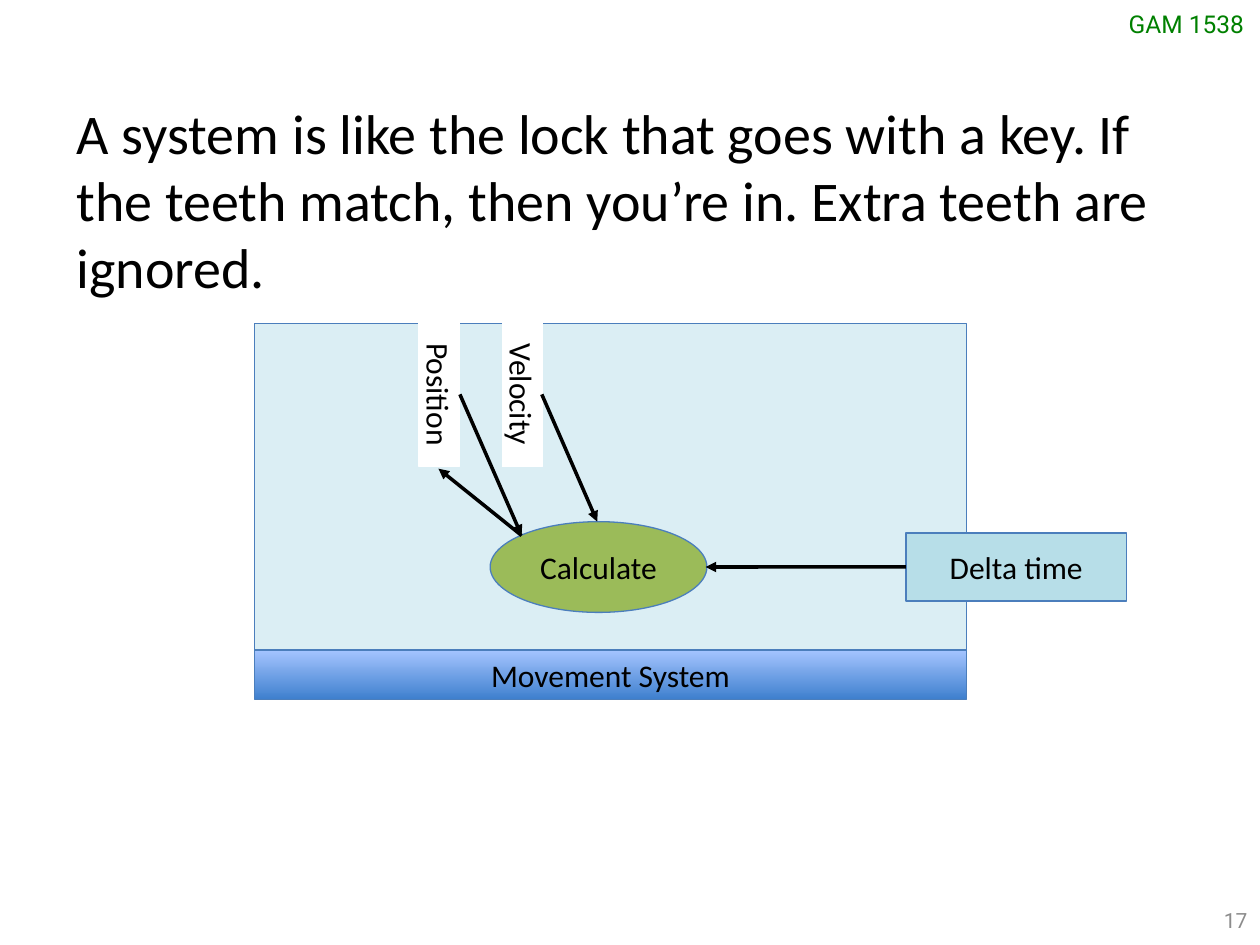
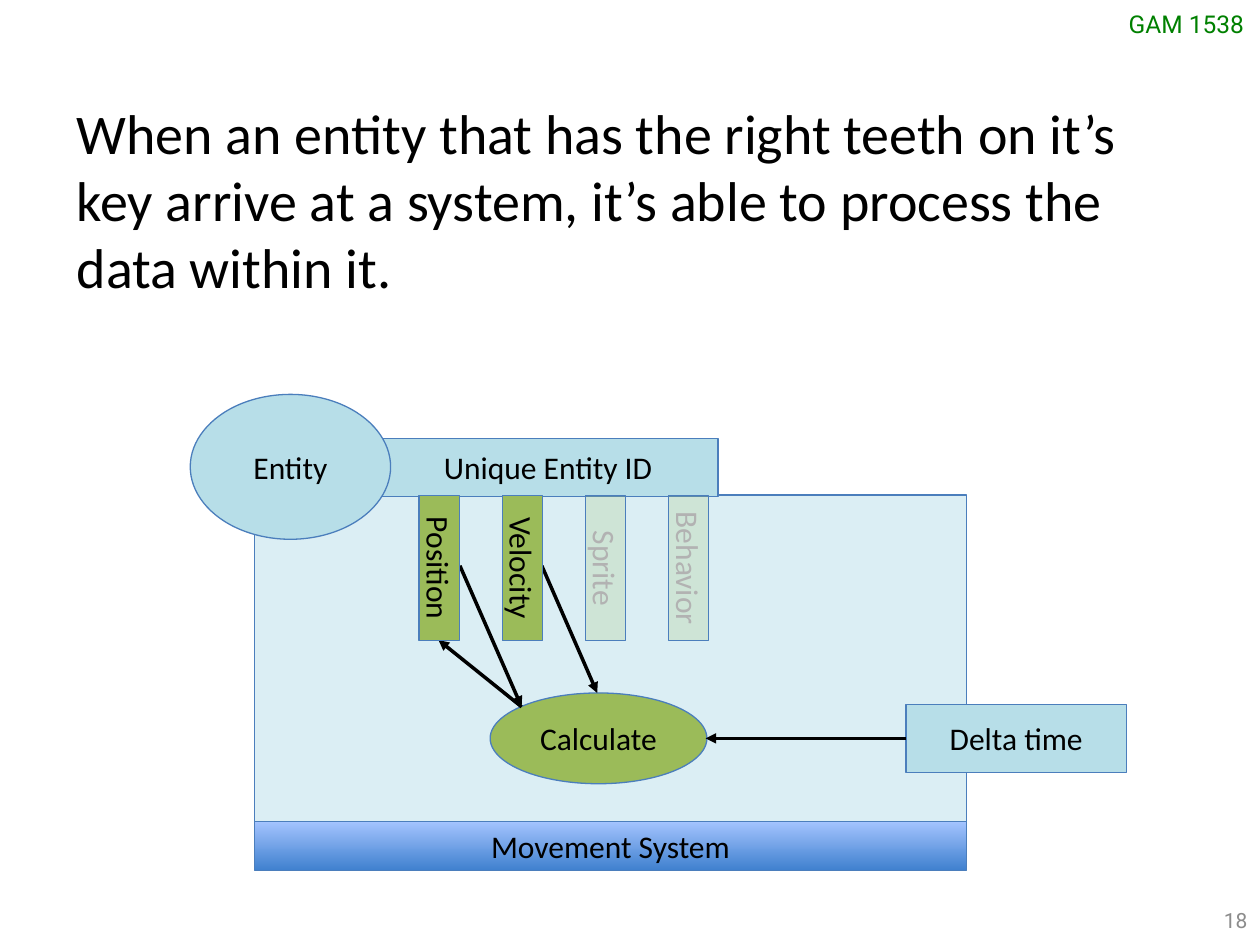
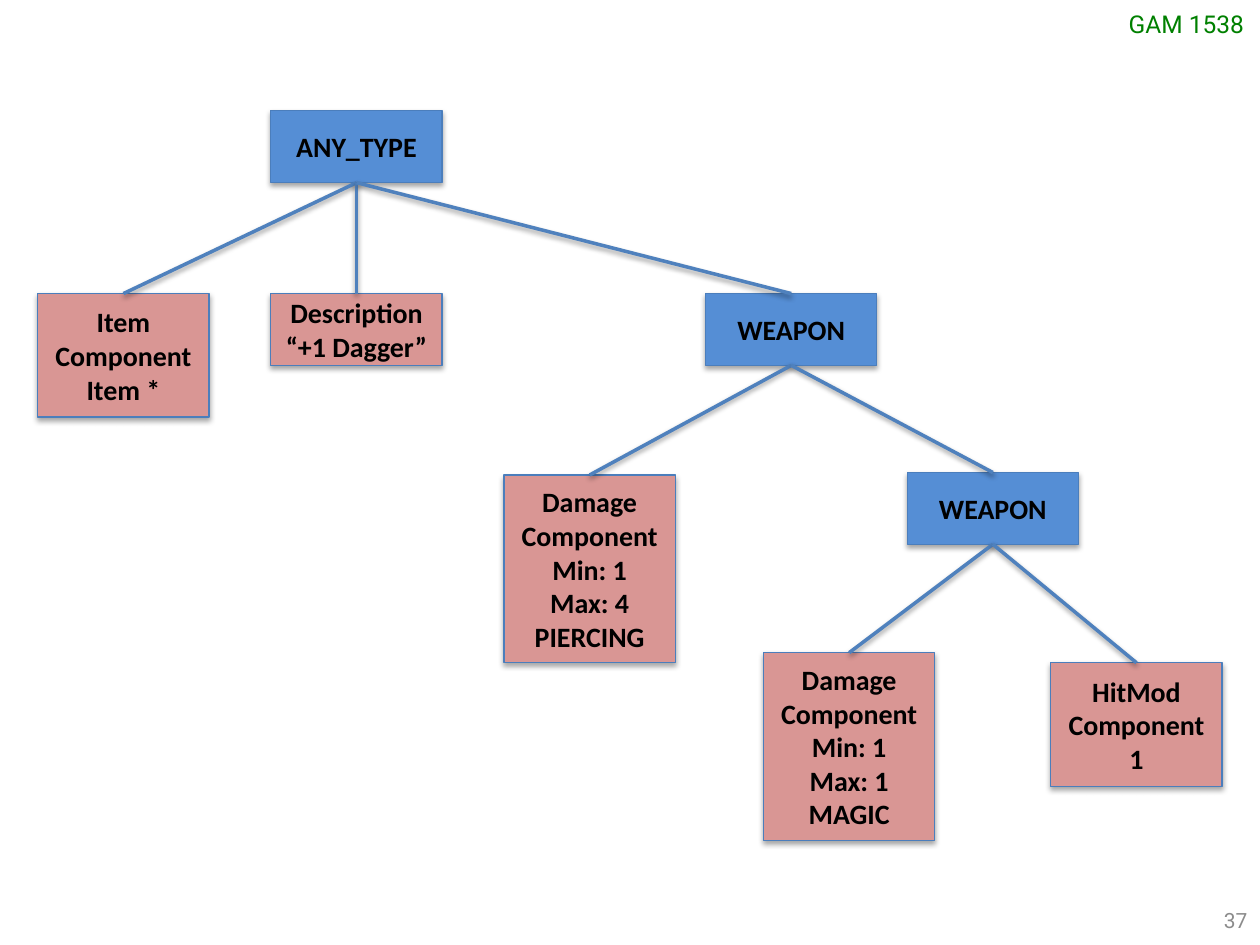
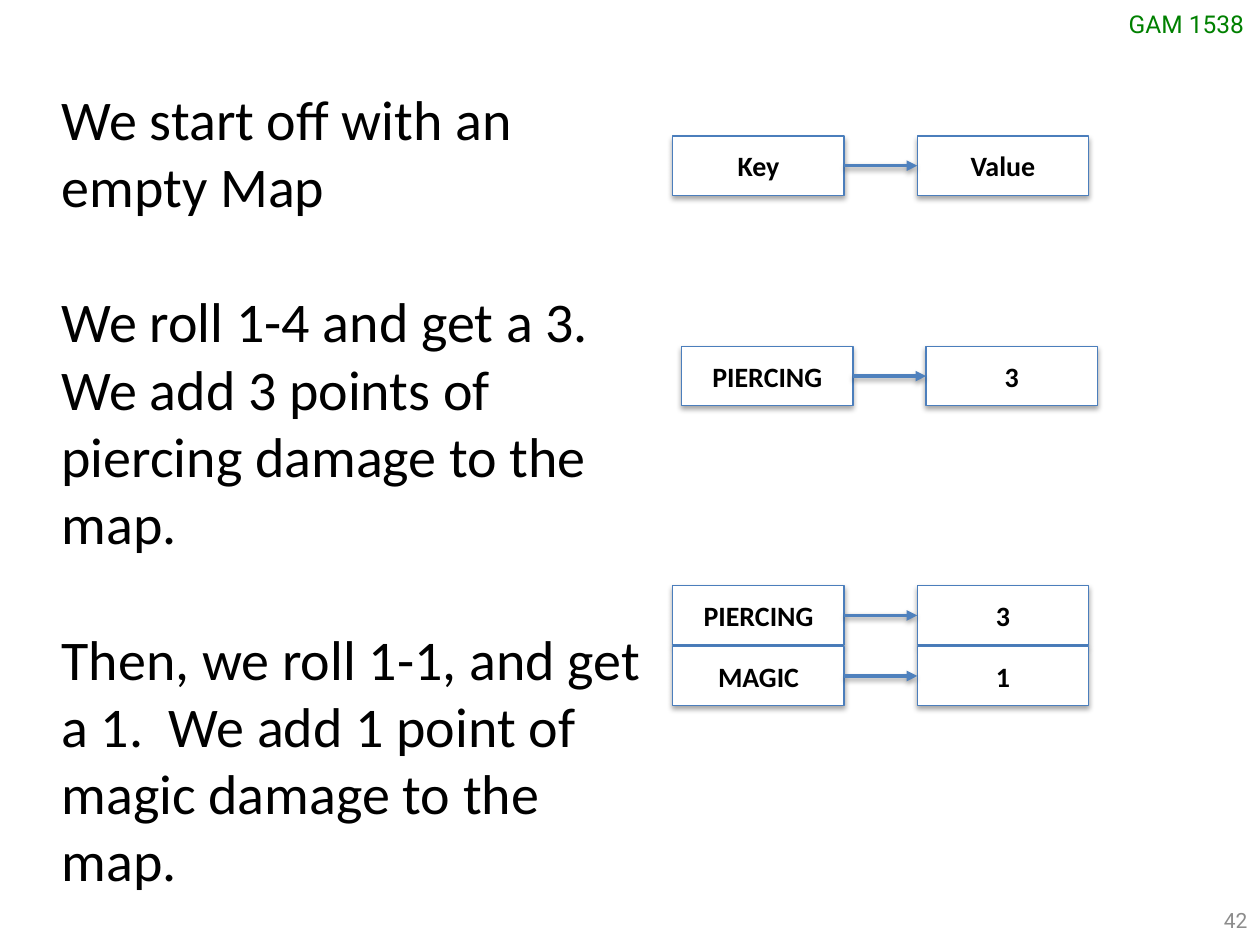
import pptx
import pptx.util
import pptx.dml.color
import pptx.enum.shapes
import pptx.enum.text
import pptx.oxml.ns
from lxml import etree

Inches = pptx.util.Inches
Pt = pptx.util.Pt
qn = pptx.oxml.ns.qn
SHAPE = pptx.enum.shapes.MSO_SHAPE
ANCHOR = pptx.enum.text.MSO_ANCHOR
ALIGN = pptx.enum.text.PP_ALIGN

BLACK, WHITE, FADED = "000000", "FFFFFF", "B2B2B2"
EDGE, LINK = "4B7EBC", "4F81BD"
PANEL, AQUA, GREEN = "DBEEF4", "B7DEE8", "9BBB59"
BLUE, PINK = "558ED5", "D99694"
TEETH_LEFT, TEETH_GAP = 2.91, 0.66


def rgb(color):
    return pptx.dml.color.RGBColor.from_string(color)


class Deck:
    """Hold the shared style and the slide being built."""

    def __init__(self):
        self.prs = pptx.Presentation()
        self.prs.slide_width, self.prs.slide_height = Inches(10), Inches(7.5)

    def new_slide(self, number):
        self.s = self.prs.slides.add_slide(self.prs.slide_layouts[6])
        self.text(8.86, 0.02, 1.14, 0.34, "GAM 1538", 14, "008000", "Roboto", wrap=False)
        sp = self.text(7.67, 7.1, 2.33, 0.4, str(number), 12, "8C8C8C", "Roboto", ALIGN.RIGHT)
        sp.text_frame.vertical_anchor = ANCHOR.MIDDLE

    def fill_text(self, tf, text, size, color=BLACK, font="Calibri", align=ALIGN.LEFT, bold=False):
        tf.text = text
        for p in tf.paragraphs:
            p.alignment = align
            p.font.size, p.font.name, p.font.bold = Pt(size), font, bold
            p.font.color.rgb = rgb(color)

    def text(self, x, y, w, h, text, size=32, color=BLACK, font="Calibri",
             align=ALIGN.LEFT, wrap=True):
        sp = self.s.shapes.add_textbox(Inches(x), Inches(y), Inches(w), Inches(h))
        sp.text_frame.word_wrap = wrap
        self.fill_text(sp.text_frame, text, size, color, font, align)
        return sp

    def effects(self, spPr, shadow, alpha, distance):
        effects = spPr.find(qn("a:effectLst"))
        if effects is None:
            effects = etree.SubElement(spPr, qn("a:effectLst"))
        if shadow:
            outer = etree.SubElement(effects, qn("a:outerShdw"), blurRad=str(Pt(3.1)),
                                     dist=str(Pt(distance)), dir="5400000", rotWithShape="0")
            tint = etree.SubElement(outer, qn("a:srgbClr"), val=BLACK)
            etree.SubElement(tint, qn("a:alpha"), val=str(alpha * 1000))

    def shape(self, x, y, w, h, text="", fill=AQUA, edge=EDGE, kind=SHAPE.RECTANGLE,
              size=18, color=BLACK, bold=False, shadow=False):
        sp = self.s.shapes.add_shape(kind, Inches(x), Inches(y), Inches(w), Inches(h))
        sp.fill.solid()
        sp.fill.fore_color.rgb = rgb(fill)
        sp.line.color.rgb = rgb(edge)
        sp.line.width = Pt(0.75)
        sp.shadow.inherit = False
        self.effects(sp._element.spPr, shadow, 35, 1.8)
        sp.text_frame.word_wrap = True
        sp.text_frame.vertical_anchor = ANCHOR.MIDDLE
        self.fill_text(sp.text_frame, text, size, color, align=ALIGN.CENTER, bold=bold)
        return sp

    def node(self, x, y, h, text, fill):
        return self.shape(x, y, 1.36, h, text, fill, size=16, bold=True, shadow=True)

    def tooth(self, index, y, text, fill=GREEN, edge=EDGE, color=BLACK, alpha=None):
        sp = self.shape(TEETH_LEFT + index * TEETH_GAP, y, 1.15, 0.32, text, fill, edge, color=color)
        sp.rotation = 90
        if alpha:
            tint = sp._element.spPr.find(qn("a:solidFill")).find(qn("a:srgbClr"))
            etree.SubElement(tint, qn("a:alpha"), val=str(alpha * 1000))

    def line(self, x1, y1, x2, y2, color=BLACK, arrow=True, shadow=False):
        c = self.s.shapes.add_connector(pptx.enum.shapes.MSO_CONNECTOR.STRAIGHT,
                                        Inches(x1), Inches(y1), Inches(x2), Inches(y2))
        c.line.color.rgb = rgb(color)
        c.line.width = Pt(2)
        spPr = c._element.spPr
        if arrow:
            etree.SubElement(spPr.find(qn("a:ln")), qn("a:tailEnd"), type="triangle")
        self.effects(spPr, shadow, 38, 1.6)
        return c

    def join(self, start, start_side, end, end_side, arrow=False):
        c = self.line(0, 0, 1, 1, LINK, arrow, shadow=True)
        c.begin_connect(start, start_side)
        c.end_connect(end, end_side)

    def movement_system(self, top):
        self.shape(2.02, top, 5.65, 2.97, fill=PANEL)
        bar = self.shape(2.02, top + 2.59, 5.65, 0.39, "Movement System")
        bar.fill.gradient()
        bar.fill.gradient_angle = 90
        for stop, color in zip(bar.fill.gradient_stops, ("3F80CE", "A4C4FF")):
            stop.color.rgb = rgb(color)
        delta = self.shape(7.19, top + 1.66, 1.75, 0.54, "Delta time")
        for i, name in enumerate(("Position", "Velocity")):
            self.tooth(i, top + 0.4, name, WHITE, WHITE)
        self.shape(3.89, top + 1.57, 1.72, 0.72, "Calculate", GREEN, kind=SHAPE.OVAL)
        self.line(7.19, top + 1.93, 5.6, top + 1.93).begin_connect(delta, 1)
        self.line(4.3, top + 0.56, 4.74, top + 1.57)
        self.line(3.65, top + 0.56, 4.14, top + 1.68)
        self.line(4.14, top + 1.68, 3.48, top + 1.15)


def lock_slide(deck):
    deck.new_slide(17)
    deck.text(0.51, 0.73, 9.05, 2.26, "A system is like the lock that goes with a key. "
              "If the teeth match, then you’re in. Extra teeth are ignored.")
    deck.movement_system(2.57)


def key_slide(deck):
    deck.new_slide(18)
    deck.text(0.51, 0.73, 9.05, 2.26, "When an entity that has the right teeth on it’s key "
              "arrive at a system, it’s able to process the data within it.")
    deck.movement_system(3.93)
    deck.shape(3, 3.48, 2.7, 0.46, "Unique Entity ID")
    for i, name in enumerate(("Position", "Velocity")):
        deck.tooth(i, 4.35, name)
    for i, name in enumerate(("Sprite", "Behavior"), 2):
        deck.tooth(i, 4.35, name, color=FADED, alpha=19)
    deck.shape(1.51, 3.13, 1.59, 1.15, "Entity", kind=SHAPE.OVAL)


def tree_slide(deck):
    deck.new_slide(37)
    root = deck.node(2.15, 0.88, 0.57, "ANY_TYPE", BLUE)
    item = deck.node(0.3, 2.33, 0.98, "Item\vComponent\nItem *", PINK)
    description = deck.node(2.15, 2.33, 0.57, "Description\n“+1 Dagger”", PINK)
    weapon = deck.node(5.6, 2.33, 0.57, "WEAPON", BLUE)
    piercing = deck.node(4, 3.77, 1.49, "Damage\nComponent\nMin: 1\vMax: 4\nPIERCING", PINK)
    enchanted = deck.node(7.2, 3.75, 0.57, "WEAPON", BLUE)
    magic = deck.node(6.06, 5.18, 1.49, "Damage\nComponent\nMin: 1\vMax: 1\nMAGIC", PINK)
    hit_mod = deck.node(8.34, 5.26, 0.98, "HitMod\vComponent\n1", PINK)
    branches = ((root, (item, description, weapon)),
                (weapon, (piercing, enchanted)),
                (enchanted, (magic, hit_mod)))
    for parent, children in branches:
        for child in children:
            deck.join(parent, 2, child, 0)


def map_slide(deck):
    deck.new_slide(42)
    entries = ((5.34, 1.08, "Key", "Value"), (5.41, 2.75, "PIERCING", "3"),
               (5.34, 4.65, "PIERCING", "3"), (5.34, 5.13, "MAGIC", "1"))
    for x, y, key, value in entries:
        left = deck.node(x, y, 0.47, key, WHITE)
        right = deck.node(x + 1.94, y, 0.47, value, WHITE)
        deck.join(left, 3, right, 1, arrow=True)
    sp = deck.text(0.39, 0.62, 4.83, 6.56, "We start off with an empty Map\n"
                   "We roll 1-4 and get a 3.\n"
                   "We add 3 points of piercing damage to the map.\n"
                   "Then, we roll 1-1, and get a 1.  We add 1 point of magic damage to the map.")
    for i in (1, 3):
        sp.text_frame.paragraphs[i].space_before = Pt(39)


def main():
    deck = Deck()
    for build in (lock_slide, key_slide, tree_slide, map_slide):
        build(deck)
    deck.prs.save("out.pptx")


if __name__ == "__main__":
    main()
